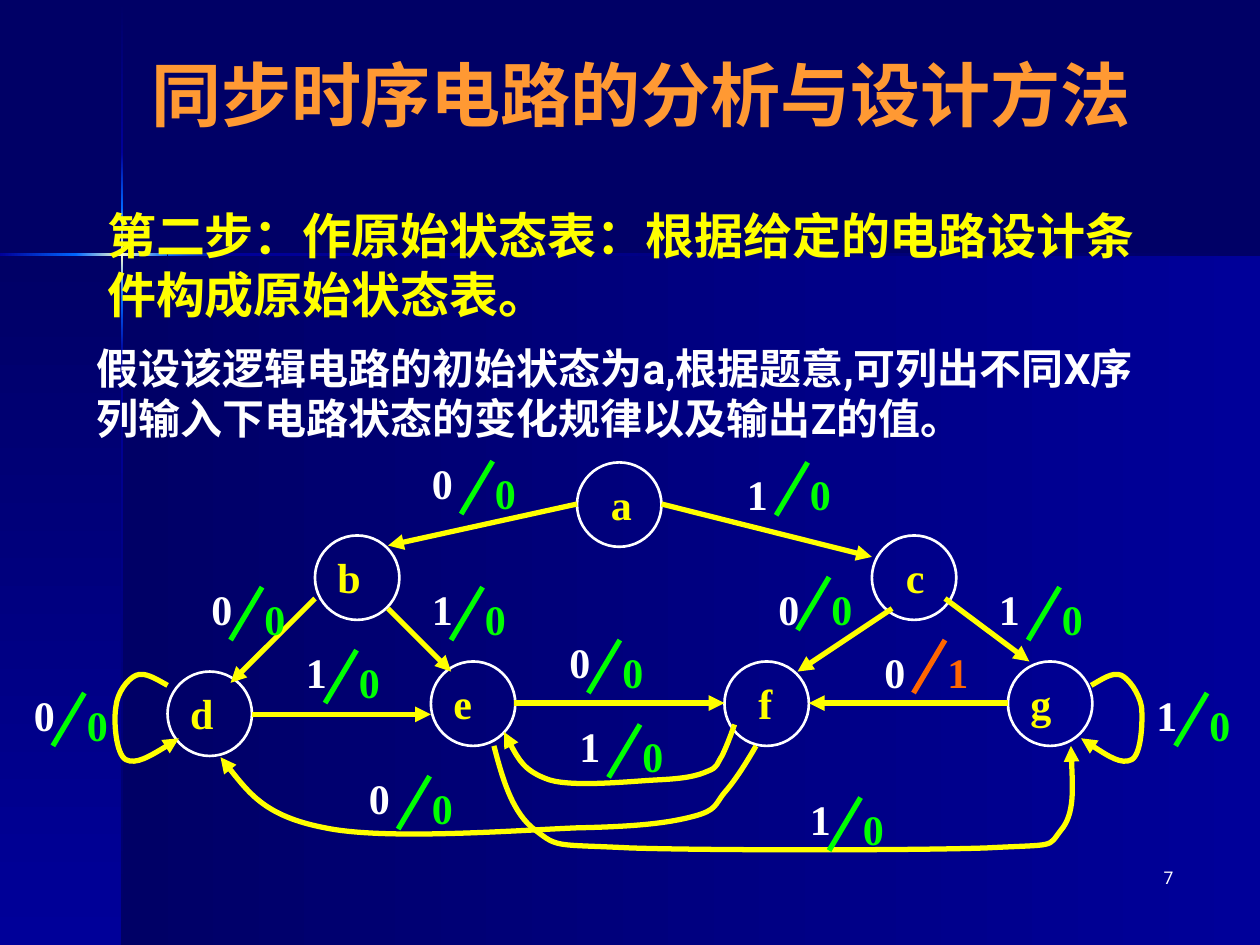
from copy import deepcopy

from lxml.etree import SubElement
from pptx import Presentation
from pptx.dml.color import RGBColor
from pptx.enum.shapes import MSO_CONNECTOR as Link, MSO_SHAPE as Shape
from pptx.enum.text import MSO_ANCHOR as Anchor, MSO_AUTO_SIZE as Fit, PP_ALIGN as Align
from pptx.oxml.ns import qn
from pptx.util import Inches, Pt

NAVY, BLUE, AZURE, CREAM = "000066", "000099", "0066FF", "FFFFCC"
WHITE, YELLOW, GREEN, ORANGE = "FFFFFF", "FFFF00", "00FF00", "FF6600"
SANS, SERIF = "Roboto", "Times New Roman"

# Left, top, width, height, angle, gradient stops
BANDS = [
    (0.97, 2.02, 9.03, 5.48, 0, (NAVY, BLUE)),
    (0, 2.02, 0.97, 5.48, 90, (NAVY, BLUE)),
    (0.96, 0.01, 0.02, 1.2, 90, (NAVY, BLUE)),
    (0.96, 2.82, 0.02, 4.68, 90, (BLUE, NAVY)),
    (1.77, 2.01, 8.23, 0.02, 0, (BLUE, NAVY)),
    (0.96, 2.38, 0.02, 0.44, 90, (AZURE, BLUE)),
    (0.96, 1.21, 0.02, 0.44, 90, (BLUE, AZURE)),
    (0.96, 1.65, 0.02, 0.73, 90, (AZURE, CREAM, AZURE)),
    (0, 2.01, 0.61, 0.02, 0, (BLUE, AZURE)),
    (1.33, 2.01, 0.44, 0.02, 0, (AZURE, BLUE)),
    (0.6, 2.01, 0.73, 0.02, 0, (AZURE, CREAM, AZURE)),
]

# Diagram data, relative to the diagram's corner
# Name, circle left and top, indent of the name
STATES = [
    ("a", 4.58, 0.17, 0.17), ("b", 2.5, 0.75, 0.08), ("c", 6.92, 0.75, 0.17),
    ("d", 1.33, 1.83, 0.08), ("e", 3.42, 1.75, 0.08), ("f", 5.75, 1.75, 0.17),
    ("g", 8, 1.75, 0.08),
]
# Start and end of each straight move
MOVES = [
    (4.58, 0.5, 3.08, 0.83), (5.25, 0.5, 6.92, 0.92), (2.5, 1.25, 1.83, 1.92),
    (3.08, 1.33, 3.58, 1.83), (7.08, 1.33, 6.33, 1.83), (7.5, 1.25, 8.17, 1.75),
    (2, 2.17, 3.42, 2.17), (4.08, 2.08, 5.75, 2.08), (8, 2.08, 6.42, 2.08),
]
# Start point, then three points for each Bezier piece
CURVES = [
    # d to d
    [(1.33, 1.94), (1.24, 1.89), (1.15, 1.83), (1.08, 1.86),
     (1.01, 1.89), (0.93, 2), (0.92, 2.11), (0.9, 2.22), (0.92, 2.49), (1, 2.53),
     (1.08, 2.57), (1.25, 2.47), (1.42, 2.36)],
    # e to g
    [(3.92, 2.42), (3.99, 2.69), (4.07, 2.96), (4.25, 3.09),
     (4.43, 3.23), (4.4, 3.2), (5, 3.23), (5.6, 3.25), (7.26, 3.25), (7.83, 3.23),
     (8.4, 3.2), (8.31, 3.23), (8.42, 3.09), (8.53, 2.96), (8.51, 2.69), (8.5, 2.42)],
    # f to d
    [(6, 2.42), (5.92, 2.56), (5.83, 2.7), (5.75, 2.79),
     (5.67, 2.89), (5.69, 2.93), (5.5, 2.98), (5.31, 3.03), (5.07, 3.06), (4.58, 3.07),
     (4.1, 3.09), (3.06, 3.17), (2.58, 3.07), (2.11, 2.98), (1.93, 2.74), (1.75, 2.51)],
    # f to e
    [(5.83, 2.25), (5.8, 2.34), (5.76, 2.44), (5.73, 2.5),
     (5.69, 2.56), (5.7, 2.59), (5.62, 2.62), (5.53, 2.66), (5.43, 2.68), (5.22, 2.69),
     (5.01, 2.7), (4.56, 2.75), (4.36, 2.69), (4.16, 2.62), (4.08, 2.47), (4, 2.31)],
    # g to g
    [(8.66, 1.94), (8.75, 1.89), (8.83, 1.83), (8.9, 1.86),
     (8.96, 1.89), (9.04, 2), (9.06, 2.11), (9.07, 2.22), (9.06, 2.49), (8.98, 2.53),
     (8.9, 2.57), (8.74, 2.47), (8.58, 2.36)],
]
# Input, output, input left and top, run to the slash, drop to the slash
LABELS = [
    ("0", "0", 3.33, 0.08, 0.58, 0.08), ("0", "0", 1.58, 1.08, 0.5, 0.08),
    ("1", "0", 3.33, 1.08, 0.5, 0.08), ("0", "0", 0.17, 1.92, 0.5, 0.08),
    ("1", "0", 2.33, 1.58, 0.5, 0.08), ("0", "0", 4.42, 1.5, 0.5, 0.08),
    ("1", "0", 6.33, 2.75, 0.5, 0.08), ("0", "0", 6.08, 1.08, 0.5, 0),
    ("1", "0", 7.83, 1.08, 0.58, 0.08), ("0", "0", 2.83, 2.58, 0.58, 0.08),
    ("1", "0", 4.5, 2.17, 0.58, 0.08), ("0", "1", 6.92, 1.58, 0.58, 0),
    ("1", "0", 9.08, 1.92, 0.5, 0.08), ("1", "0", 5.83, 0.17, 0.58, 0),
]


def rgb(code):
    return RGBColor.from_string(code)


def write(frame, text, size, color, font=SANS, bold=True, align=Align.LEFT):
    frame.word_wrap = True
    para = frame.paragraphs[0]
    para.alignment = align
    para.space_before = Pt(0)
    run = para.add_run()
    run.text = text
    run.font.size, run.font.bold, run.font.name = Pt(size), bold, font
    run.font.color.rgb = rgb(color)
    return para


def add_text(shapes, box, *args, **opts):
    frame = shapes.add_textbox(*map(Inches, box)).text_frame
    write(frame, *args, **opts)


def add_tip(shape):
    line = shape._element.spPr.find(qn("a:ln"))
    SubElement(line, qn("a:tailEnd"), type="triangle")


def add_line(shapes, ends, color):
    line = shapes.add_connector(Link.STRAIGHT, *map(Inches, ends))
    line.line.color.rgb, line.line.width = rgb(color), Pt(3)
    SubElement(line._element.spPr, qn("a:effectLst"))
    return line


def add_curve(shapes, points):
    first, *rest = [(Inches(x), Inches(y)) for x, y in points]
    pen = shapes.build_freeform(*first)
    pen.add_line_segments(rest, close=False)
    curve = pen.convert_to_shape()
    curve.shadow.inherit = False
    curve.fill.background()
    curve.line.color.rgb, curve.line.width = rgb(YELLOW), Pt(3)
    # Turn each three segments into one Bezier piece
    path = curve._element.spPr.find(".//" + qn("a:path"))
    steps = path.findall(qn("a:lnTo"))
    for i in range(0, len(steps), 3):
        piece = SubElement(path, qn("a:cubicBezTo"))
        for step in steps[i:i + 3]:
            piece.append(step[0])
            path.remove(step)
    add_tip(curve)


def add_band(shapes, box, angle, colors):
    band = shapes.add_shape(Shape.RECTANGLE, *map(Inches, box))
    band.shadow.inherit = False
    band.line.fill.background()
    band.fill.gradient()
    band.fill.gradient_angle = -angle % 360
    stops = band._element.spPr.find(".//" + qn("a:gsLst"))
    if len(colors) > 2:
        stops.append(deepcopy(stops[0]))
    for i, stop in enumerate(band.fill.gradient_stops):
        stop.color.rgb = rgb(colors[i])
        stop.position = i / (len(colors) - 1)


def add_state(shapes, name, left, top, indent):
    group = shapes.add_group_shape().shapes
    ring = group.add_shape(Shape.OVAL, *map(Inches, (left, top, 0.67, 0.67)))
    ring.shadow.inherit = False
    ring.fill.background()
    ring.line.color.rgb, ring.line.width = rgb(WHITE), Pt(1.5)
    add_text(group, (left + indent, top + 0.08, 0.42, 0.5), name, 24, YELLOW, SERIF)


def add_label(shapes, given, result, left, top, run, drop):
    group = shapes.add_group_shape().shapes
    color = ORANGE if result == "1" else GREEN
    x, y = left + run, top + drop
    add_text(group, (left, top, 0.58, 0.5), given, 24, WHITE, SERIF)
    add_line(group, (x, y, x - 0.25, y + 0.42), color)
    add_text(group, (x - 0.08, y, 0.42, 0.5), result, 24, color, SERIF)


def backdrop(slide, left, top):
    slide.background.fill.solid()
    slide.background.fill.fore_color.rgb = rgb(NAVY)
    group = slide.shapes.add_group_shape()
    for x, y, w, h, angle, colors in BANDS:
        add_band(group.shapes, (left + x, top + y, w, h), angle, colors)
    slide.shapes._spTree.insert(2, group._element)  # behind the placeholders


def fill_holder(holder, box, anchor, *args, **opts):
    holder.left, holder.top, holder.width, holder.height = map(Inches, box)
    frame = holder.text_frame
    frame.auto_size, frame.vertical_anchor = Fit.NONE, anchor
    return write(frame, *args, **opts)


def heading(slide, box):
    fill_holder(slide.shapes.title, box, Anchor.MIDDLE,
                "同步时序电路的分析与设计方法", 40, "FF9933", align=Align.CENTER)


def step_text(slide, box):
    para = fill_holder(slide.placeholders[1], box, Anchor.TOP,
                       "第二步：作原始状态表：根据给定的电路设计条件构成原始状态表。", 28, YELLOW)
    props = para._p.get_or_add_pPr()
    props.set("marL", "0")
    props.set("indent", "0")
    SubElement(props, qn("a:buNone"))


def diagram(slide, left, top):
    shapes = slide.shapes
    for name, x, y, indent in STATES:
        add_state(shapes, name, left + x, top + y, indent)
    for x1, y1, x2, y2 in MOVES:
        add_tip(add_line(shapes, (left + x1, top + y1, left + x2, top + y2), YELLOW))
    for points in CURVES:
        add_curve(shapes, [(left + x, top + y) for x, y in points])
    for given, result, x, y, run, drop in LABELS:
        add_label(shapes, given, result, left + x, top + y, run, drop)


def main():
    deck = Presentation()
    deck.slide_width, deck.slide_height = Inches(10), Inches(7.5)
    slide = deck.slides.add_slide(deck.slide_layouts[1])
    backdrop(slide, 0, 0)
    heading(slide, (0.5, 0.33, 9.17, 0.83))
    step_text(slide, (0.75, 1.58, 8.67, 5.08))
    diagram(slide, 0, 3.5)
    add_text(slide.shapes, (0.67, 2.67, 8.5, 0.9),
             "假设该逻辑电路的初始状态为a,根据题意,可列出不同X序列输入下电路状态的变化规律以及输出Z的值。",
             24, WHITE)
    # Page number
    add_text(slide.shapes, (7.33, 6.83, 2.08, 0.5), "7", 10, WHITE,
             bold=False, align=Align.RIGHT)
    deck.save("out.pptx")


if __name__ == "__main__":
    main()
